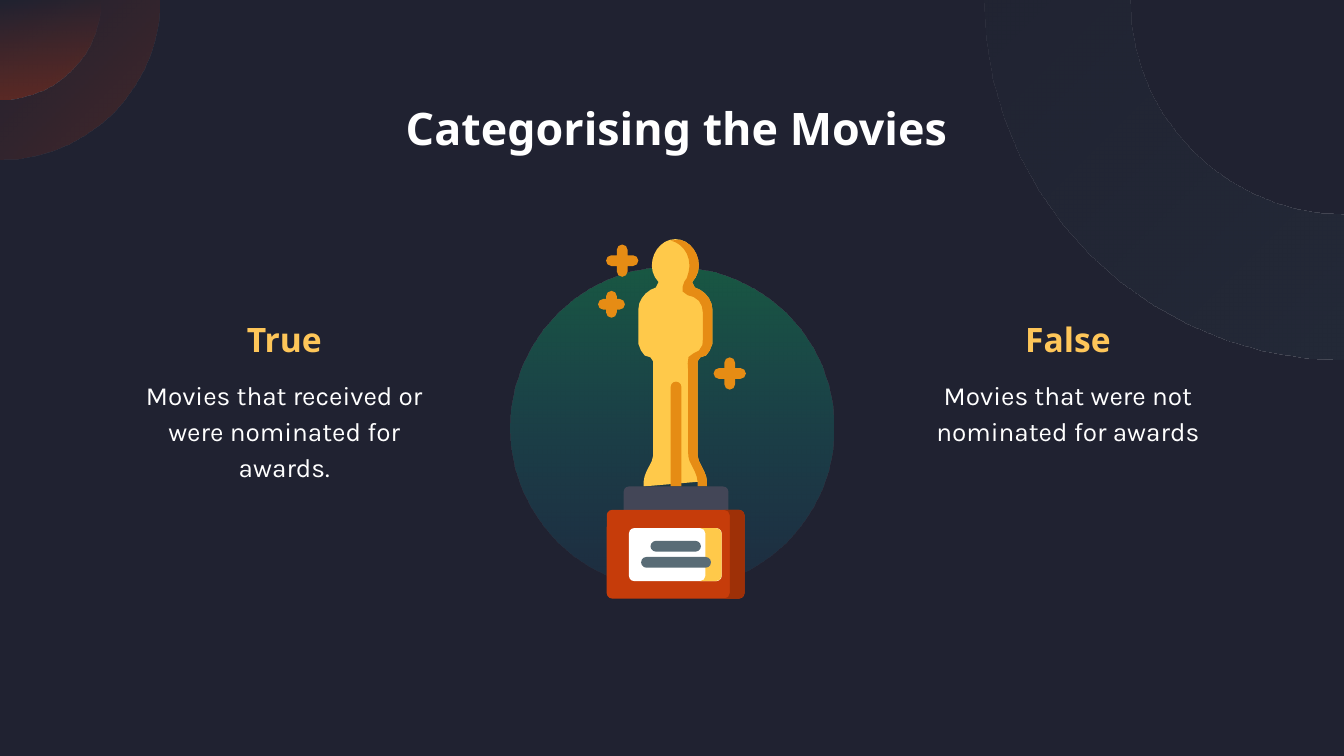
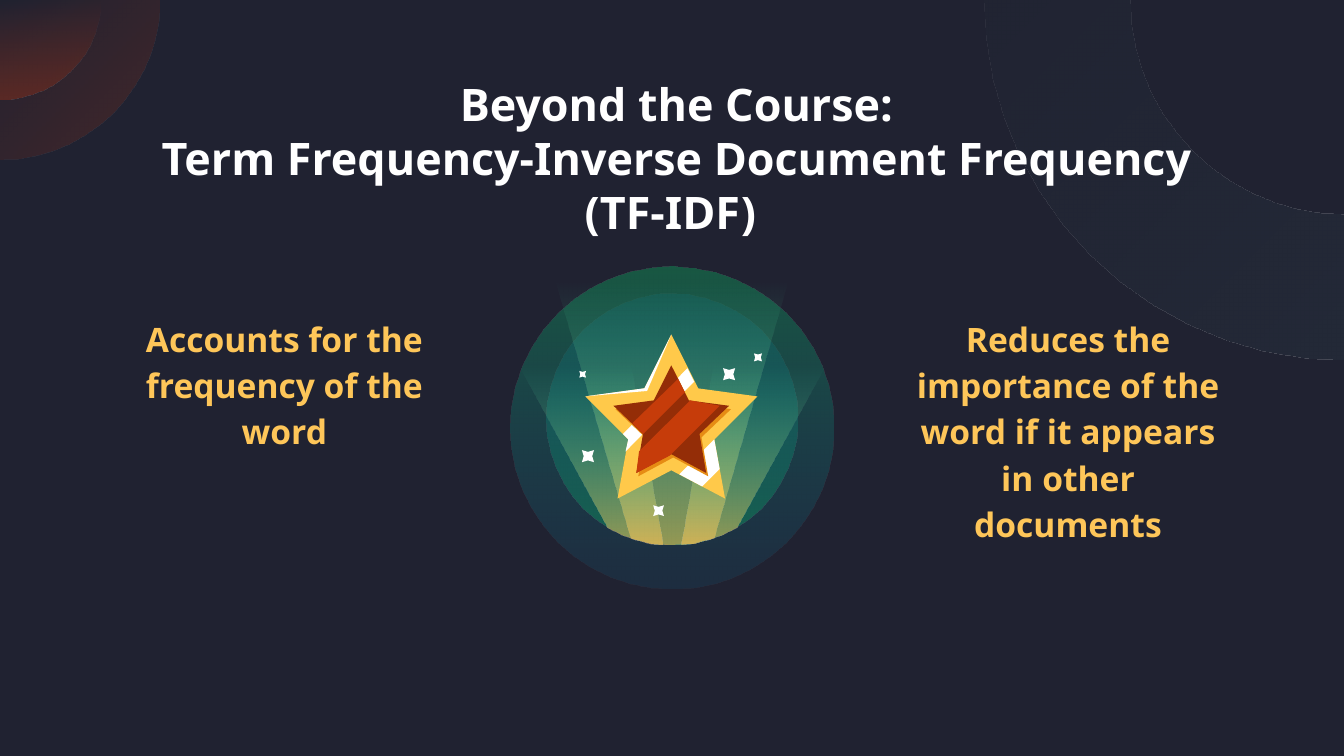
from math import asin, cos, degrees, dist, radians, sin

from lxml import etree
from pptx import Presentation
from pptx.dml.color import RGBColor
from pptx.enum.shapes import MSO_SHAPE
from pptx.enum.text import MSO_ANCHOR, PP_ALIGN
from pptx.oxml.ns import qn
from pptx.util import Cm, Pt

OVAL = MSO_SHAPE.OVAL
ROUNDED = MSO_SHAPE.ROUNDED_RECTANGLE
ROUND_TOP = MSO_SHAPE.ROUND_2_SAME_RECTANGLE
CENTER = PP_ALIGN.CENTER
TOP = MSO_ANCHOR.TOP

GRID = Cm(2.54) / 100
NIGHT, WHITE, AMBER = "202231", "FFFFFF", "FEC659"
GOLD, ORANGE, RUST, BRICK, MAROON = "FFC94A", "E68C14", "C63C0A", "9E3007", "942D07"
SLATE, STEEL = "434657", "596C76"

EMBER_SOFT = (("9C3218", 30), ("9C3218", 0), 225)
EMBER_STRONG = (("9C3218", 42), ("9C3218", 0), 270)
MIST = (("252C3A", 75), ("252C3A", 20), 225)
AURORA_DOWN = (("0AC668", 33), ("0A94C6", 10), 90)
AURORA_UP = (("0AC668", 33), ("0A94C6", 10), 270)
BEAM = ((AMBER, 55), ("4AFFC3", 0), 270)

TITLE = {"font": {"name": "Noto Sans", "size": Pt(24), "bold": True},
         "paragraph": {"alignment": CENTER}, "color": WHITE}
HEADING = {"font": {"name": "Noto Sans", "size": Pt(18), "bold": True},
           "paragraph": {"alignment": CENTER, "line_spacing": 1.15, "space_after": Pt(16)},
           "color": AMBER}
BODY = {"font": {"name": "Karla", "size": Pt(14)},
        "paragraph": {"alignment": CENTER, "line_spacing": 1.15}, "color": WHITE}
FRAME = {"word_wrap": True, "vertical_anchor": TOP,
         **{f"margin_{side}": Cm(0.25) for side in ("left", "top", "right", "bottom")}}

LEFT_COLUMN, RIGHT_COLUMN, COLUMN_WIDTH = 2.02, 16.83, 6.71

STATUE_HALF = [
    (502.5, 178), (493, 178, 485, 187, 485, 198), (485, 202, 487, 207, 490, 210),
    (491, 212, 490, 214, 488, 214), (481, 216, 475, 223, 475, 230), (475, 256),
    (475, 257, 475, 259, 477, 261), (478, 264, 481, 266, 484, 266),
    (486, 266, 486, 268, 486, 269), (486, 335), (486, 338, 486, 341, 485, 343),
    (481, 351), (480, 353, 479, 356, 479, 358), (479, 362)]
SHADE_EDGE = [
    (499, 179), (507, 181, 513, 188, 513, 198), (513, 201, 512, 204, 511, 207),
    (509, 209, 507, 214, 508, 217), (510, 220, 513, 220, 516, 221),
    (521, 223, 523, 228, 523, 233), (523, 252), (523, 255, 523, 259, 520, 261),
    (519, 262, 517, 262, 516, 263), (510, 264, 512, 271, 512, 276), (512, 335),
    (512, 338, 512, 341, 513, 343), (517, 351), (518, 353, 519, 356, 519, 358),
    (519, 362)]
STAR_HALF = [(500, 249), (480, 289), (436, 295), (468, 327), (460, 371), (500, 350)]
CORE_HALF = [(500, 272), (487, 298), (457, 302), (479, 323), (474, 352), (500, 338)]


def rgb(value):
    """Turn a hex string into a colour."""
    return RGBColor.from_string(value)


def apply(target, values):
    """Set every attribute named in a dict."""
    for name, value in values.items():
        setattr(target, name, value)


def polar(x, y, radius, turn):
    """Return the point at an angle, in degrees clockwise from the right."""
    return x + radius * cos(radians(turn)), y + radius * sin(radians(turn))


def arc(x, y, radius, start, end, steps=14):
    """Return evenly spaced points along a circle."""
    return [polar(x, y, radius, start + (end - start) * i / steps)
            for i in range(steps + 1)]


def trace(segments):
    """Turn corners and cubic curves into a short list of points."""
    points = []
    for segment in segments:
        if len(segment) == 2:
            points.append(segment)
            continue
        knots = [points[-1], segment[:2], segment[2:4], segment[4:]]
        steps = max(1, round(dist(knots[0], knots[3]) / 4))
        for i in range(1, steps + 1):
            t = i / steps
            weights = ((1 - t) ** 3, 3 * t * (1 - t) ** 2, 3 * t * t * (1 - t), t ** 3)
            points.append(tuple(sum(w * knot[axis] for w, knot in zip(weights, knots))
                                for axis in (0, 1)))
    return points


def mirror(points, axis):
    """Reflect points about a vertical axis, in reverse order."""
    return [(2 * axis - x, y) for x, y in reversed(points)]


def shift(points, dx, dy):
    """Move points by an offset."""
    return [(x + dx, y + dy) for x, y in points]


def sparkle(x, y, reach, half=4):
    """Outline a plus sign with round ends."""
    outline = []
    for turn in (0, 90, 180, 270):
        tip = polar(x, y, reach - half, turn)
        outline += arc(*tip, half, turn - 90, turn + 90, 4)
        outline.append(polar(x, y, half * 1.41, turn + 45))
    return outline


def twinkle(x, y, reach):
    """Outline a four-pointed star with diagonal tips."""
    return [polar(x, y, reach * factor, turn + offset)
            for turn in range(0, 360, 90) for factor, offset in ((0.7, 0), (1.41, 45))]


def rim(left, top, right, bottom, radius=4):
    """Outline the right-hand rim of a rounded panel."""
    outer = (arc(right - radius, top + radius, radius, -90, 0, 2)
             + arc(right - radius, bottom - radius, radius, 0, 90, 2))
    return outer + shift(outer[::-1], left + radius - right, 0)


class Deck:
    """Holds the presentation style and the current slide."""

    def __init__(self):
        """Open a widescreen presentation."""
        self.file = Presentation()
        apply(self.file, {"slide_width": Cm(25.4), "slide_height": Cm(14.29)})
        self.slide = None

    def start(self, title, top):
        """Add a slide with its corner rings, central halo and title."""
        self.slide = self.file.slides.add_slide(self.file.slide_layouts[6])
        backdrop = self.slide.background.fill
        backdrop.solid()
        backdrop.fore_color.rgb = rgb(NIGHT)
        for radius, ember in ((118.5, EMBER_SOFT), (74.5, EMBER_STRONG)):
            self.outline([(0, 0)] + arc(0, 0, radius, 90, 0), ember)
        self.outline(arc(1000, 0, 267.5, 180, 90) + arc(1000, 0, 159.5, 90, 180), MIST)
        self.preset(OVAL, 380, 198.5, 240, 239.5, AURORA_DOWN)
        self.text(title, LEFT_COLUMN, top, 21.52, 1.6, TITLE)

    def paint(self, shape, paint):
        """Give a shape a plain or fading fill without line or shadow."""
        shape.shadow.inherit = False
        shape.line.fill.background()
        if isinstance(paint, str):
            shape.fill.solid()
            shape.fill.fore_color.rgb = rgb(paint)
            return
        *shades, angle = paint
        shape.fill.gradient()
        shape.fill.gradient_angle = 360 - angle
        for stop, (color, opacity) in zip(shape.fill.gradient_stops, shades):
            stop.color.rgb = rgb(color)
        tints = shape.element.spPr.find(qn("a:gradFill")).iter(qn("a:srgbClr"))
        for tint, (color, opacity) in zip(list(tints), shades):
            etree.SubElement(tint, qn("a:alpha")).set("val", str(opacity * 1000))

    def outline(self, points, paint):
        """Draw a closed outline given in grid units."""
        first, *rest = [(round(x * GRID), round(y * GRID)) for x, y in points]
        builder = self.slide.shapes.build_freeform(*first, scale=1.0)
        builder.add_line_segments(rest, close=True)
        self.paint(builder.convert_to_shape(), paint)

    def preset(self, kind, left, top, width, height, paint, radius=None):
        """Draw a preset shape given in grid units."""
        box = [Cm(value * 2.54 / 100) for value in (left, top, width, height)]
        shape = self.slide.shapes.add_shape(kind, *box)
        if radius:
            shape.adjustments[0] = radius / min(width, height)
        self.paint(shape, paint)

    def text(self, words, left, top, width, height, style):
        """Add a text box with one styled paragraph."""
        box = self.slide.shapes.add_textbox(Cm(left), Cm(top), Cm(width), Cm(height))
        apply(box.text_frame, FRAME)
        paragraph = box.text_frame.paragraphs[0]
        paragraph.text = words
        apply(paragraph, style["paragraph"])
        for run in paragraph.runs:
            apply(run.font, style["font"])
            run.font.color.rgb = rgb(style["color"])

    def column(self, left, heading, body=None):
        """Add a heading and the text below it."""
        self.text(heading, left, 5.66, COLUMN_WIDTH, 1.6, HEADING)
        if body:
            self.text(body, left, 6.83, COLUMN_WIDTH, 3.68, BODY)

    def trophy(self):
        """Draw the statuette on its labelled base."""
        half = trace(STATUE_HALF)
        right_side = mirror(half, 502.5)
        self.outline(half + right_side[1:-1], GOLD)
        self.outline(trace(SHADE_EDGE) + right_side[:-1], ORANGE)
        self.preset(ROUND_TOP, 499, 284, 8, 78, ORANGE, 4)
        self.preset(ROUND_TOP, 464, 362, 78, 25, SLATE, 4)
        for x, y, reach in ((455, 226.5, 10), (543, 278, 12), (463, 194, 12)):
            self.outline(sparkle(x, y, reach), ORANGE)
        self.preset(ROUNDED, 451.5, 379.5, 102.5, 66, RUST, 4)
        self.outline(rim(539, 379.5, 554, 445.5), BRICK)
        self.preset(ROUNDED, 468, 393, 69, 39.5, WHITE, 4)
        self.outline(rim(521, 393, 537, 432.5), GOLD)
        for left, top, width in ((484, 402.5, 37.5), (477, 414.5, 52)):
            self.preset(ROUNDED, left, top, width, 8, STEEL, 4)

    def spotlight_star(self):
        """Draw the star in its beams of light."""
        x, y, radius = 500, 312, 93.5

        def floor(start, end):
            """Follow the lower edge of the disc between two places."""
            turns = [90 - degrees(asin((place - x) / radius)) for place in (start, end)]
            return arc(x, y, radius, *turns, 4)

        self.preset(OVAL, 406.5, 218.5, 187, 187, AURORA_UP)
        side_beam = [(469, 271), (386, 271)] + floor(452, 493)
        for beam in ([(586, 209), (413, 209)] + floor(469, 531),
                     side_beam, mirror(side_beam, x)):
            self.outline(beam, BEAM)
        star, core = (half + mirror(half, x)[1:-1] for half in (STAR_HALF, CORE_HALF))
        for facet, color in (
                (star, GOLD),
                ([(512, 274), (464, 323), (468, 327), (466, 336), (517, 284)], WHITE),
                ([(532, 327), (506, 353), (523, 362), (536, 349)], WHITE),
                (shift(core, 1.5, 2.5), ORANGE),
                (core, MAROON),
                ([(505, 282), (471, 315), (479, 323), (510, 292)], RUST),
                ([(514, 298), (476, 336), (474, 352), (499, 339), (536, 302)], RUST),
                ([(500, 249), (480, 289), (436, 295), (482, 291)], WHITE)):
            self.outline(shift(facet, -0.5, 0), color)
        for place in ((542.5, 278.5, 4.5), (437.5, 339.5, 4.5), (490, 380, 4),
                      (564, 266, 3), (433.5, 278.5, 2.5)):
            self.outline(twinkle(*place), WHITE)


def main():
    """Build both slides and save them."""
    deck = Deck()
    deck.start("Categorising the Movies", 1.65)
    deck.column(LEFT_COLUMN, "True", "Movies that received or were nominated for awards.")
    deck.column(RIGHT_COLUMN, "False", "Movies that were not nominated for awards")
    deck.trophy()

    deck.start("Beyond the Course:\n"
               "Term Frequency-Inverse Document Frequency (TF-IDF) ", 1.21)
    deck.column(LEFT_COLUMN, "Accounts for the frequency of the word")
    deck.column(RIGHT_COLUMN,
                "Reduces the importance of the word if it appears in other documents")
    deck.spotlight_star()
    deck.file.save("out.pptx")


if __name__ == "__main__":
    main()
